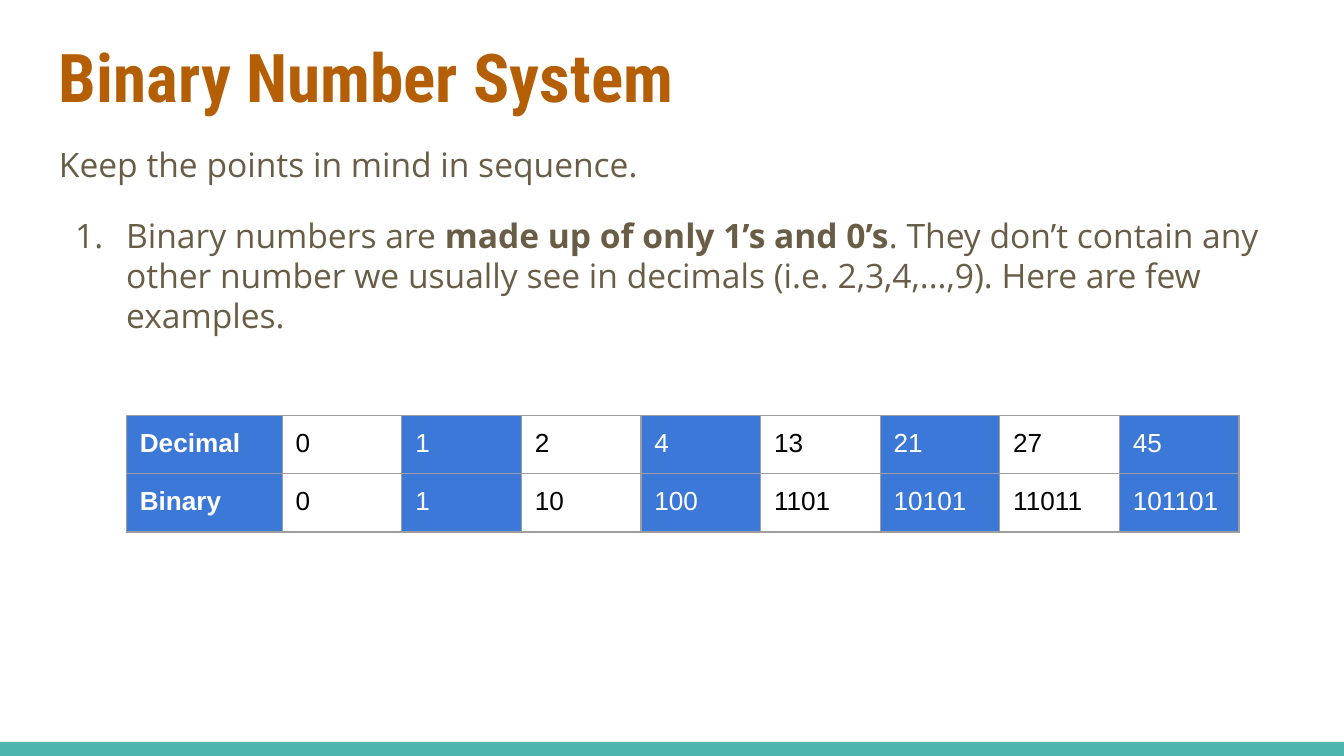
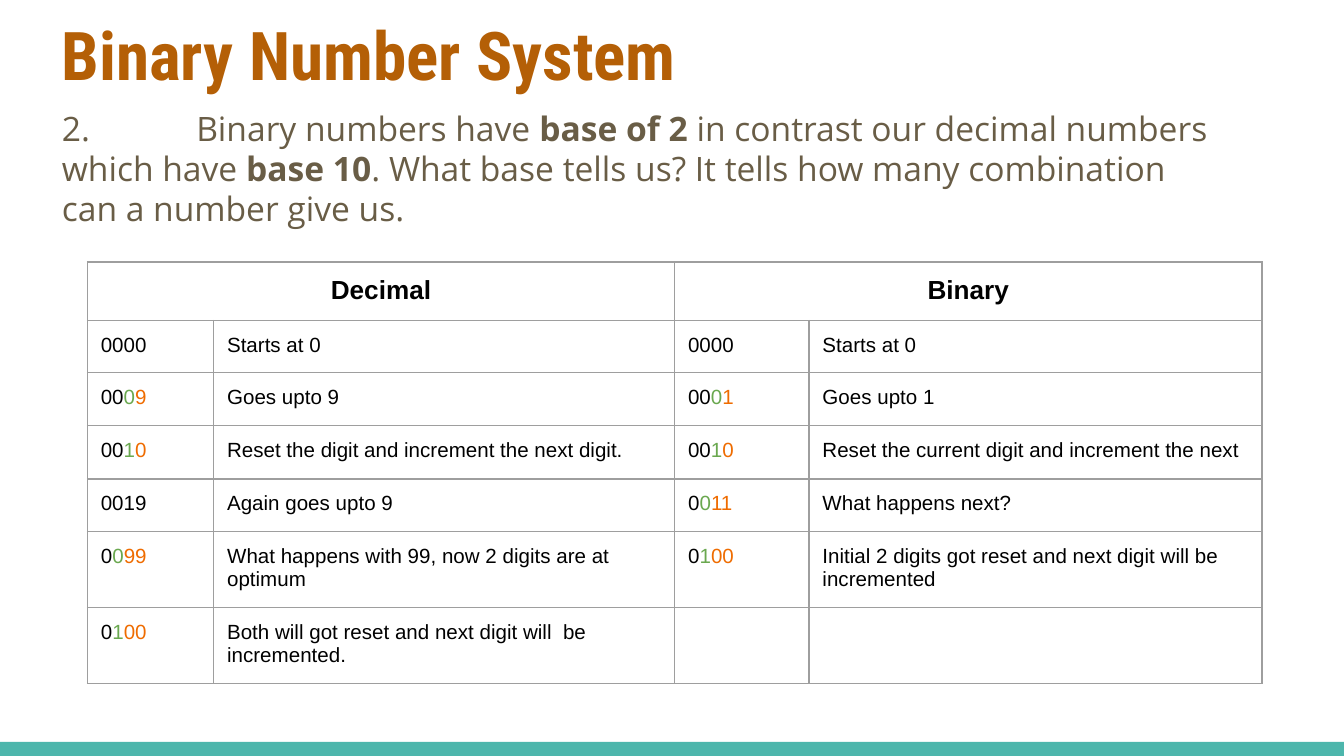
from itertools import cycle

from lxml import etree
from pptx import Presentation
from pptx.dml.color import RGBColor
from pptx.enum.shapes import MSO_SHAPE
from pptx.enum.text import MSO_ANCHOR, PP_ALIGN
from pptx.oxml.ns import qn
from pptx.util import Inches, Pt

RECTANGLE = MSO_SHAPE.RECTANGLE
TOP = MSO_ANCHOR.TOP
LEFT, CENTER = PP_ALIGN.LEFT, PP_ALIGN.CENTER

SLIDE_W = 10
SLIDE_H = SLIDE_W * 9 / 16
BAND_TOP = 5.52
INSET = 0.1
TEXT_W = 9.32

TEAL, BROWN, TAUPE = "4DB6AC", "B45F06", "695D46"
BLUE, GRAY = "3C78D8", "9E9E9E"
BLACK, WHITE, GREEN, ORANGE = "000000", "FFFFFF", "6AA84F", "EF6C00"

TITLE_FONT, BODY_FONT, TABLE_FONT = "Roboto Condensed", "Open Sans", "Arial"
BODY_STYLES = [(TAUPE, False), (TAUPE, True)]
DIGIT_STYLES = [(BLACK, False), (GREEN, False), (ORANGE, False)]

EXAMPLES = [
    ["Decimal", "0", "1", "2", "4", "13", "21", "27", "45"],
    ["Binary", "0", "1", "10", "100", "1101", "10101", "11011", "101101"],
]
COUNTING = [
    ["0000", "Starts at 0", "0000", "Starts at 0"],
    ["00|0|9", "Goes upto 9", "00|0|1", "Goes upto 1"],
    ["00|1|0", "Reset the digit and increment the next digit.",
     "00|1|0", "Reset the current digit and increment the next"],
    ["0019", "Again goes upto 9", "0|0|11", "What happens next?"],
    ["0|0|99", "What happens with 99, now 2 digits are at optimum",
     "0|1|00", "Initial 2 digits got reset and next digit will be incremented"],
    ["0|1|00", "Both will got reset and next digit will  be incremented.", "", ""],
]


def rgb(color):
    return RGBColor.from_string(color)


def write(paragraph, marked, font, size, styles):
    """Split marked text at each | and give the parts (colour, bold) in turn."""
    for part, (color, bold) in zip(marked.split("|"), cycle(styles)):
        run = paragraph.add_run()
        run.text = part
        run.font.name, run.font.size, run.font.bold = font, Pt(size), bold
        run.font.color.rgb = rgb(color)


def add_frame(slide, left, top, width, height, inset_left=INSET):
    box = slide.shapes.add_textbox(
        Inches(left), Inches(top), Inches(width), Inches(height))
    frame = box.text_frame
    frame.word_wrap = True
    frame.vertical_anchor = TOP
    frame.margin_left = Inches(inset_left)
    frame.margin_top = frame.margin_right = frame.margin_bottom = Inches(INSET)
    return frame


def add_titled_slide(prs, title_left, title_top):
    slide = prs.slides.add_slide(prs.slide_layouts[6])
    slide.background.fill.solid()
    slide.background.fill.fore_color.rgb = rgb(WHITE)
    band = slide.shapes.add_shape(
        RECTANGLE, 0, Inches(BAND_TOP), Inches(SLIDE_W), Inches(SLIDE_H - BAND_TOP))
    band.shadow.inherit = False
    band.fill.solid()
    band.fill.fore_color.rgb = rgb(TEAL)
    band.line.fill.background()
    title = add_frame(slide, title_left, title_top, TEXT_W, 0.77)
    write(title.paragraphs[0], "Binary Number System", TITLE_FONT, 36, [(BROWN, True)])
    return slide


def add_body(slide, left, top, height, lines, inset_left=INSET):
    frame = add_frame(slide, left, top, TEXT_W, height, inset_left)
    for index, line in enumerate(lines):
        paragraph = frame.add_paragraph() if index else frame.paragraphs[0]
        write(paragraph, line, BODY_FONT, 18, BODY_STYLES)
    return frame.paragraphs


def number_paragraph(paragraph, color):
    props = paragraph._p.get_or_add_pPr()
    props.set("marL", str(Inches(0.5)))
    props.set("indent", str(Inches(-0.38)))
    bullet_color = etree.SubElement(props, qn("a:buClr"))
    etree.SubElement(bullet_color, qn("a:srgbClr"), val=color)
    etree.SubElement(props, qn("a:buFont"), typeface=BODY_FONT)
    etree.SubElement(props, qn("a:buAutoNum"), type="arabicPeriod")


def set_tab_stop(paragraph, position):
    stops = etree.SubElement(paragraph._p.get_or_add_pPr(), qn("a:tabLst"))
    etree.SubElement(stops, qn("a:tab"), pos=str(Inches(position)), algn="l")


def add_grid(slide, left, top, col_widths, row_heights):
    grid = slide.shapes.add_table(
        len(row_heights), len(col_widths), Inches(left), Inches(top),
        Inches(sum(col_widths)), Inches(sum(row_heights))).table
    grid.first_row = grid.horz_banding = False
    for column, width in zip(grid.columns, col_widths):
        column.width = Inches(width)
    for row, height in zip(grid.rows, row_heights):
        row.height = Inches(height)
    for cell in grid.iter_cells():
        cell.margin_left = cell.margin_right = Inches(INSET)
        cell.margin_top = cell.margin_bottom = Inches(INSET)
        props = cell._tc.get_or_add_tcPr()
        for side in ("lnL", "lnR", "lnT", "lnB"):
            border = etree.SubElement(props, qn(f"a:{side}"), w=str(Pt(0.75)))
            fill = etree.SubElement(border, qn("a:solidFill"))
            etree.SubElement(fill, qn("a:srgbClr"), val=GRAY)
        cell.fill.background()
    return grid


def fill_cell(cell, marked, size, styles, align=LEFT):
    paragraph = cell.text_frame.paragraphs[0]
    paragraph.alignment = align
    paragraph.line_spacing = 1.0
    paragraph.space_before = paragraph.space_after = Pt(0)
    if marked:
        write(paragraph, marked, TABLE_FONT, size, styles)
    else:
        paragraph.font.size = Pt(size)


def add_examples_table(slide, left, top):
    """Every other column is blue, starting with the row headings."""
    grid = add_grid(slide, left, top, [1.16] + [0.89] * 8, [0.43, 0.42])
    for r, numbers in enumerate(EXAMPLES):
        for c, number in enumerate(numbers):
            cell = grid.cell(r, c)
            shaded = c % 2 == 0
            if shaded:
                cell.fill.solid()
                cell.fill.fore_color.rgb = rgb(BLUE)
            fill_cell(cell, number, 14, [(WHITE if shaded else BLACK, c == 0)])


def add_counting_table(slide, left, top):
    grid = add_grid(slide, left, top, [0.94, 3.43, 1, 3.37],
                    [0.43, 0.39, 0.39, 0.4, 0.39, 0.39, 0.39])
    for c, system in ((0, "Decimal"), (2, "Binary")):
        grid.cell(0, c).merge(grid.cell(0, c + 1))
        fill_cell(grid.cell(0, c), system, 14, [(BLACK, True)], CENTER)
    for r, steps in enumerate(COUNTING, start=1):
        for c, step in enumerate(steps):
            fill_cell(grid.cell(r, c), step, 11, DIGIT_STYLES)


def build_digits_slide(prs):
    slide = add_titled_slide(prs, 0.34, 0.16)
    intro, point = add_body(slide, 0.34, 0.93, 4.07, [
        "Keep the points in mind in sequence.",
        "Binary numbers are |made up of only 1’s and 0’s|. They don’t contain any "
        "other number we usually see in decimals (i.e. 2,3,4,...,9). "
        "Here are few examples.",
    ])
    intro.line_spacing = 1.15
    point.space_before = Pt(16)
    number_paragraph(point, TAUPE)
    add_examples_table(slide, 0.94, 3.09)


def build_base_slide(prs):
    slide = add_titled_slide(prs, 0.36, 0)
    point = add_body(slide, 0.34, 0.7, 4.3, [
        "2.\tBinary numbers have |base of 2| in contrast our decimal numbers",
        "which have |base 10|. What base tells us? It tells how many combination",
        "can a number give us.",
    ], inset_left=0.12)[0]
    set_tab_stop(point, 1)
    add_counting_table(slide, 0.65, 1.95)


def main():
    prs = Presentation()
    prs.slide_width, prs.slide_height = Inches(SLIDE_W), Inches(SLIDE_H)
    build_digits_slide(prs)
    build_base_slide(prs)
    prs.save("out.pptx")


if __name__ == "__main__":
    main()
